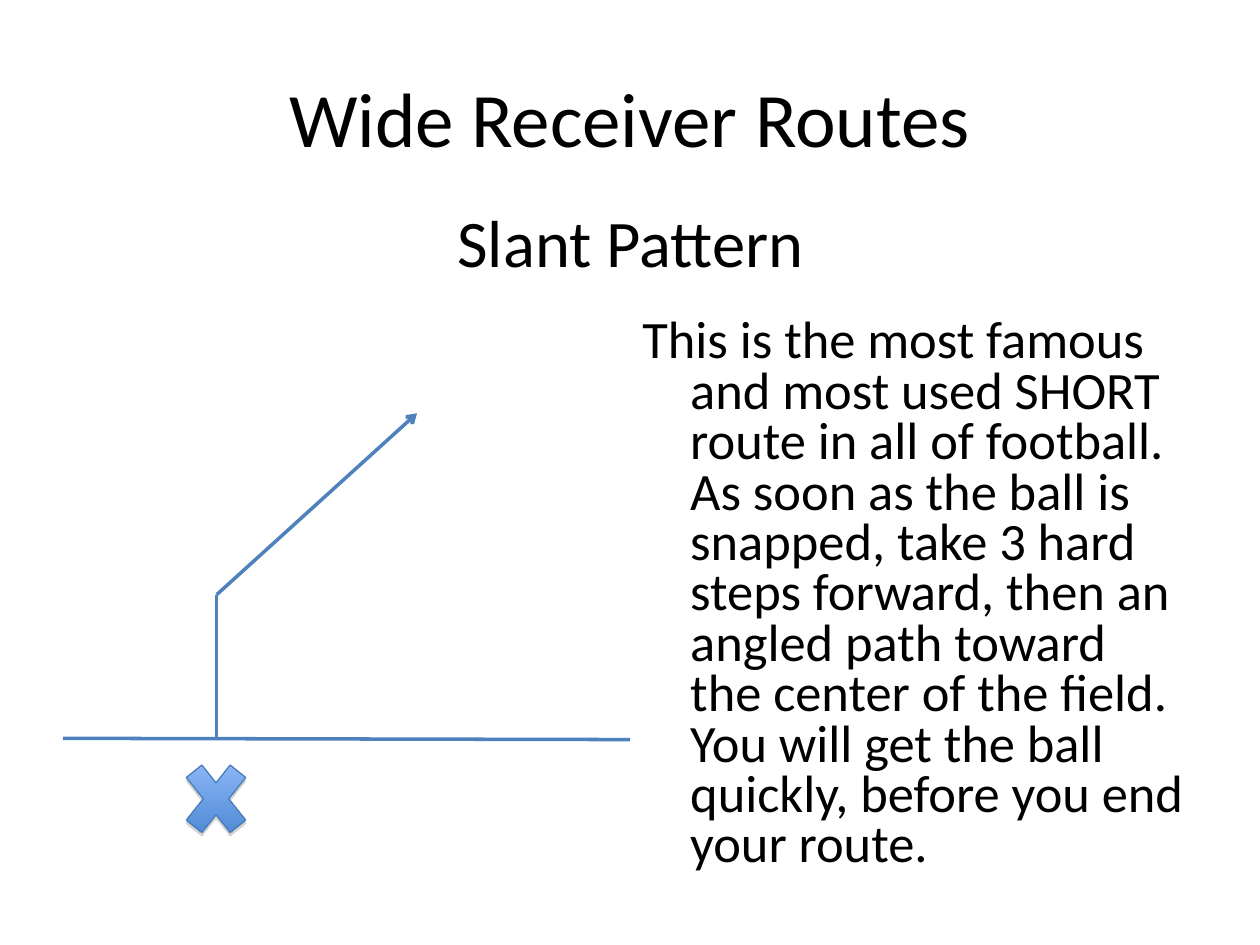
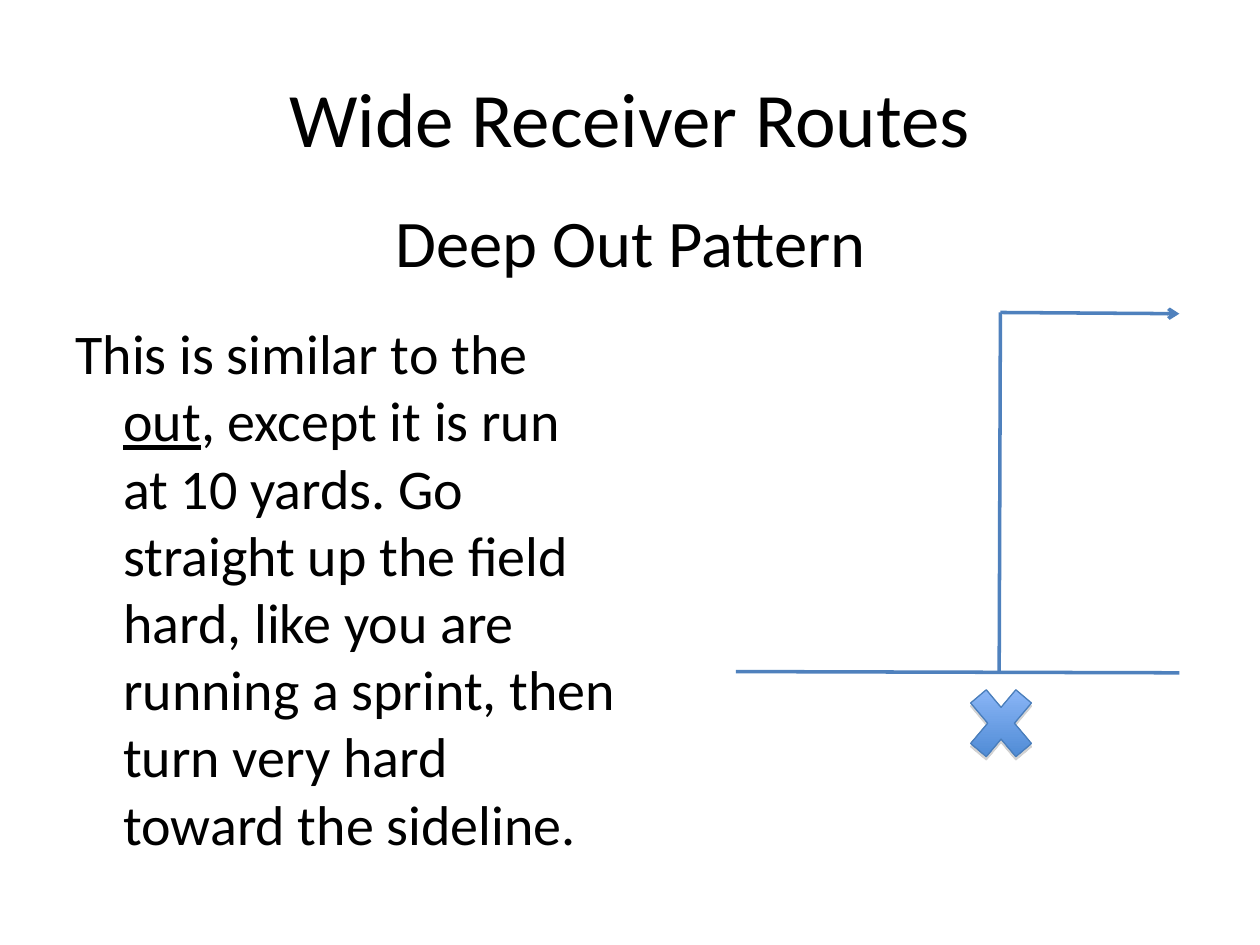
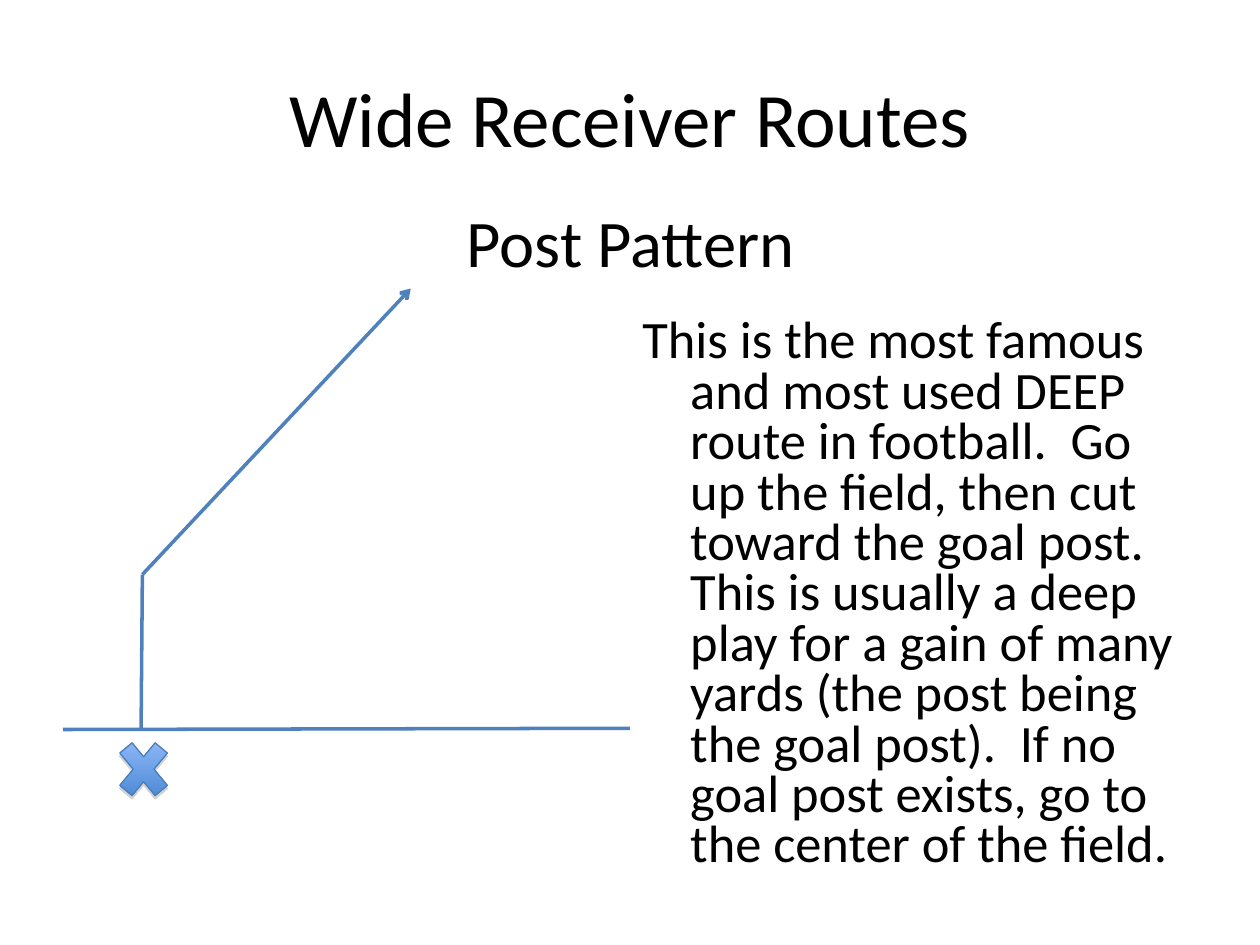
import dataclasses
import itertools

import lxml.etree
import pptx
import pptx.dml.color
import pptx.enum.shapes
import pptx.enum.text
import pptx.oxml.ns
import pptx.util

Inches = pptx.util.Inches
Pt = pptx.util.Pt
Align = pptx.enum.text.PP_ALIGN
Anchor = pptx.enum.text.MSO_ANCHOR
AutoSize = pptx.enum.text.MSO_AUTO_SIZE
qn = pptx.oxml.ns.qn

Point = tuple[float, float]
Box = tuple[float, float, float, float]


@dataclasses.dataclass(frozen=True)
class Theme:
    font: str = "Calibri"
    text_color: str = "000000"
    route_color: str = "4F81BD"
    marker_top: str = "9BC1FF"
    marker_bottom: str = "3F80CD"
    marker_outline: str = "4A7EBB"
    shadow_color: str = "808080"
    title_size: float = 44
    pattern_size: float = 38
    body_size: float = 32
    tight_body_size: float = 30
    route_width: float = 2
    marker_width: float = 0.75


@dataclasses.dataclass(frozen=True)
class Route:
    pattern: str
    description: str
    text_left: float
    scrimmage: tuple[Point, Point]
    path_points: tuple[Point, Point, Point]
    receiver: Box
    tight: bool = True
    underlined: str = ""


THEME = Theme()
TITLE = "Wide Receiver Routes"
TITLE_BOX = (0.5, 0.3, 9, 1.25)
PATTERN_BOX = (2.62, 1.55, 4.77, 0.74)
BODY_TOP, BODY_WIDTH, BODY_HEIGHT = 2.48, 4.5, 4.56

ROUTES = (
    Route(
        "Slant Pattern",
        "This is the most famous and most used SHORT route in all of football.  "
        "As soon as the ball is snapped, take 3 hard steps forward, then an angled "
        "path toward the center of the field.  You will get the ball quickly, "
        "before you end your route.",
        text_left=5,
        scrimmage=((0.5, 5.86), (5, 5.87)),
        path_points=((1.72, 5.87), (1.72, 4.72), (3.31, 3.28)),
        receiver=(1.38, 5.92, 0.67, 0.84),
    ),
    Route(
        "Deep Out Pattern",
        "This is similar to the out, except it is run at 10 yards. Go straight up "
        "the field hard, like you are running a sprint, then turn very hard toward "
        "the sideline.",
        text_left=0.5,
        scrimmage=((5.84, 5.33), (9.36, 5.34)),
        path_points=((7.93, 5.34), (7.94, 2.48), (9.36, 2.49)),
        receiver=(7.6, 5.33, 0.69, 0.82),
        tight=False,
        underlined="out",
    ),
    Route(
        "Post Pattern",
        "This is the most famous and most used DEEP route in football.  Go up the "
        "field, then cut toward the goal post.  This is usually a deep play for a "
        "gain of many yards (the post being the goal post).  If no goal post "
        "exists, go to the center of the field.",
        text_left=5,
        scrimmage=((0.5, 5.79), (5, 5.78)),
        path_points=((1.12, 5.79), (1.13, 4.56), (3.26, 2.29)),
        receiver=(0.87, 5.78, 0.54, 0.65),
    ),
)


def rgb(color: str) -> pptx.dml.color.RGBColor:
    return pptx.dml.color.RGBColor.from_string(color)


def lengths(values: tuple[float, ...]) -> list[pptx.util.Length]:
    return [Inches(value) for value in values]


def write_text(
    shape,
    text: str,
    *,
    size: float,
    align=Align.CENTER,
    anchor=Anchor.TOP,
    auto_size=AutoSize.NONE,
    hanging: float = 0,
    line_spacing: float = 1,
    space_before: float = 0,
    underlined: str = "",
) -> None:
    frame = shape.text_frame
    frame.word_wrap = True
    frame.auto_size = auto_size
    frame.vertical_anchor = anchor
    paragraph = frame.paragraphs[0]
    paragraph.alignment = align
    paragraph.line_spacing = line_spacing
    paragraph.space_before = Pt(space_before)
    if hanging:
        properties = paragraph._p.get_or_add_pPr()
        properties.set("marL", str(Inches(hanging)))
        properties.set("indent", str(-Inches(hanging)))
    for piece in text.partition(underlined) if underlined else (text,):
        run = paragraph.add_run()
        run.text = piece
        run.font.name = THEME.font
        run.font.size = Pt(size)
        run.font.color.rgb = rgb(THEME.text_color)
        if piece == underlined:
            run.font.underline = True


def draw_line(group, start: Point, end: Point, arrow: bool = False) -> None:
    connector = group.shapes.add_connector(
        pptx.enum.shapes.MSO_CONNECTOR.STRAIGHT, *lengths(start + end)
    )
    connector.line.color.rgb = rgb(THEME.route_color)
    connector.line.width = Pt(THEME.route_width)
    if arrow:
        outline = connector.line._get_or_add_ln()
        lxml.etree.SubElement(outline, qn("a:tailEnd"), type="arrow")
    lxml.etree.SubElement(connector._element.spPr, qn("a:effectLst"))


def draw_receiver(group, box: Box) -> None:
    marker = group.shapes.add_shape(
        pptx.enum.shapes.MSO_SHAPE.MATH_MULTIPLY, *lengths(box)
    )
    marker.fill.gradient()
    marker.fill.gradient_angle = 270
    for stop, color in zip(
        marker.fill.gradient_stops, (THEME.marker_top, THEME.marker_bottom)
    ):
        stop.color.rgb = rgb(color)
    marker.line.color.rgb = rgb(THEME.marker_outline)
    marker.line.width = Pt(THEME.marker_width)
    marker.shadow.inherit = False
    effects = marker._element.spPr.find(qn("a:effectLst"))
    shadow = lxml.etree.SubElement(
        effects,
        qn("a:outerShdw"),
        blurRad="0",
        dist=str(Pt(1.8)),
        dir="5400000",
        rotWithShape="0",
    )
    color = lxml.etree.SubElement(shadow, qn("a:srgbClr"), val=THEME.shadow_color)
    lxml.etree.SubElement(color, qn("a:alpha"), val="35000")


def add_route_slide(presentation, route: Route) -> None:
    slide = presentation.slides.add_slide(
        presentation.slide_layouts.get_by_name("Title Only")
    )
    title = slide.shapes.title
    title.left, title.top, title.width, title.height = lengths(TITLE_BOX)
    write_text(title, TITLE, size=THEME.title_size, anchor=Anchor.MIDDLE)

    body_box = (route.text_left, BODY_TOP, BODY_WIDTH, BODY_HEIGHT)
    write_text(
        slide.shapes.add_textbox(*lengths(body_box)),
        route.description,
        size=THEME.tight_body_size if route.tight else THEME.body_size,
        align=Align.LEFT,
        hanging=0.38,
        line_spacing=0.8 if route.tight else 1,
        space_before=7.5 if route.tight else 8,
        underlined=route.underlined,
    )
    write_text(
        slide.shapes.add_textbox(*lengths(PATTERN_BOX)),
        route.pattern,
        size=THEME.pattern_size,
        auto_size=AutoSize.SHAPE_TO_FIT_TEXT,
    )

    diagram = slide.shapes.add_group_shape()
    draw_line(diagram, *route.scrimmage)
    for start, end in itertools.pairwise(route.path_points):
        draw_line(diagram, start, end, arrow=end == route.path_points[-1])
    draw_receiver(diagram, route.receiver)


def main() -> None:
    presentation = pptx.Presentation()
    presentation.slide_width = Inches(10)
    presentation.slide_height = Inches(7.5)
    for route in ROUTES:
        add_route_slide(presentation, route)
    presentation.save("out.pptx")


if __name__ == "__main__":
    main()
